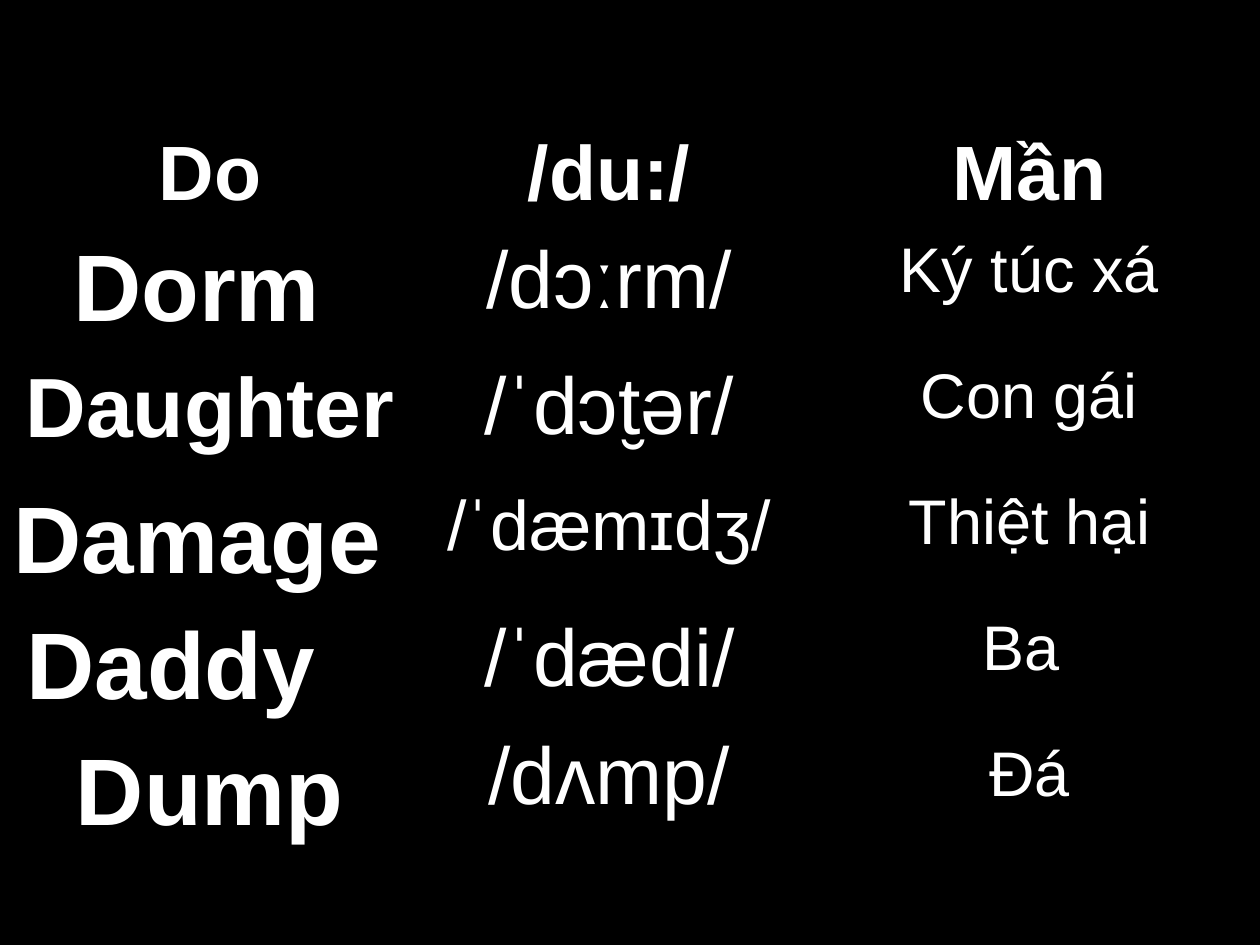
from lxml import etree
from pptx import Presentation
from pptx.dml.color import RGBColor
from pptx.enum.text import PP_ALIGN
from pptx.oxml.ns import qn
from pptx.util import Inches, Pt

CENTER = PP_ALIGN.CENTER
BLACK, WHITE = "000000", "FFFFFF"
FONT = "Arial"
THIN, THICK = 0.45, 1.47

# Each row: (word, size), (pronunciation, size), (meaning, size)
ROWS = [
    [("Do", 44), ("/du:/", 44), ("Mần", 44)],
    [("Dorm ", 54), ("/dɔːrm/", 46), ("Ký túc xá", 36)],
    [("Daughter", 48), ("/ˈdɔt̮ər/", 46), ("Con gái", 36)],
    [("Damage", 54), ("/ˈdæmɪdʒ/", 40), ("Thiệt hại", 36)],
    [("Daddy", 54), ("/ˈdædi/", 46), ("Ba ", 36)],
    [("Dump", 54), ("/dʌmp/", 46), ("Đá", 36)],
]
COLUMN_WIDTHS = [3.33, 3.01, 3.66]
ROW_HEIGHTS = [0.83] + [1] * 5
TABLE_TOP = 0.99
# Left and right cell margins of the words set left of the column's middle
SIDE_MARGINS = {"Damage": (0.05, 0.25), "Daddy": (0.1, 0.72)}


def color(value):
    return RGBColor.from_string(value)


def add_border(cell, side, width):
    """Draw one side (L, R, T or B) of a cell; call before setting its fill."""
    line = etree.SubElement(cell._tc.get_or_add_tcPr(), qn(f"a:ln{side}"), w=str(Pt(width)))
    fill = etree.SubElement(line, qn("a:solidFill"))
    etree.SubElement(fill, qn("a:srgbClr"), val=BLACK)


def fill_cell(cell, text, size, bold, row_index):
    top = THICK if row_index == 1 else THIN
    bottom = THICK if row_index == 0 else THIN
    for side, width in (("L", THIN), ("R", THIN), ("T", top), ("B", bottom)):
        add_border(cell, side, width)
    cell.fill.solid()
    cell.fill.fore_color.rgb = color(BLACK)
    left, right = SIDE_MARGINS.get(text, (0.1, 0.1))
    cell.margin_left, cell.margin_right = Inches(left), Inches(right)
    cell.margin_top = cell.margin_bottom = Inches(0.05)

    paragraph = cell.text_frame.paragraphs[0]
    paragraph.alignment = CENTER
    if text == "/dʌmp/":
        paragraph.line_spacing = 0.9
        paragraph.space_before = Pt(10)
    run = paragraph.add_run()
    run.text = text
    run.font.name = FONT
    run.font.size = Pt(size)
    run.font.bold = bold
    run.font.color.rgb = color(WHITE)


def main():
    presentation = Presentation()
    presentation.slide_width, presentation.slide_height = Inches(10), Inches(7.5)
    slide = presentation.slides.add_slide(presentation.slide_layouts[6])
    slide.background.fill.solid()
    slide.background.fill.fore_color.rgb = color(BLACK)

    table = slide.shapes.add_table(
        len(ROWS), len(COLUMN_WIDTHS), 0, Inches(TABLE_TOP),
        Inches(sum(COLUMN_WIDTHS)), Inches(sum(ROW_HEIGHTS))).table
    for column, width in zip(table.columns, COLUMN_WIDTHS):
        column.width = Inches(width)
    for row, height in zip(table.rows, ROW_HEIGHTS):
        row.height = Inches(height)
    for row_index, entries in enumerate(ROWS):
        for column_index, (text, size) in enumerate(entries):
            bold = row_index == 0 or column_index == 0
            fill_cell(table.cell(row_index, column_index), text, size, bold, row_index)

    presentation.save("out.pptx")


if __name__ == "__main__":
    main()
